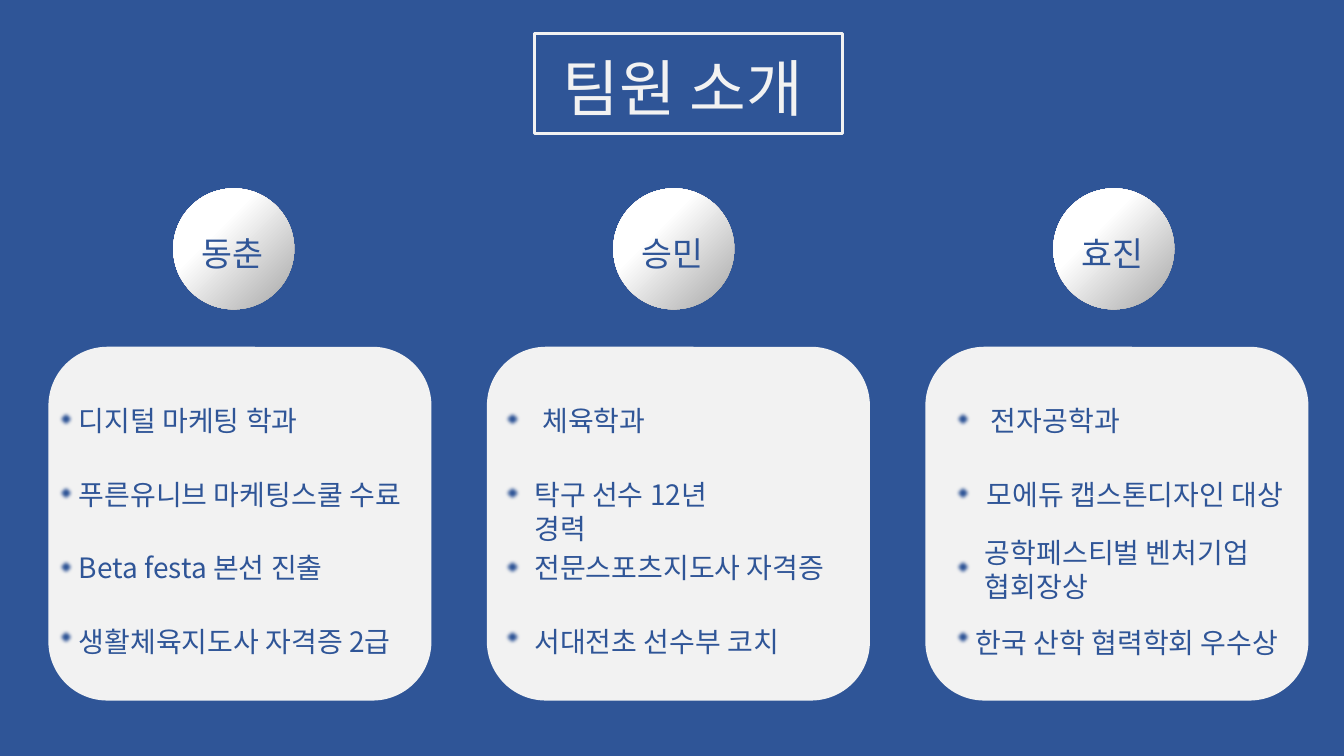
from pptx import Presentation
from pptx.dml.color import RGBColor
from pptx.enum.shapes import MSO_SHAPE as Kind
from pptx.enum.text import MSO_ANCHOR as Anchor, MSO_AUTO_SIZE as Fit, PP_ALIGN as Align
from pptx.oxml import parse_xml
from pptx.oxml.ns import nsdecls, qn
from pptx.util import Pt

BLUE = RGBColor(0x2F, 0x55, 0x97)
PALE = RGBColor(0xF2, 0xF2, 0xF2)
FACE = "Noto Sans CJK KR"
LINE = 24.3
ROW = 52.6
DOTS = (45.4, 98.6, 151.2, 201.6)

GLOW = f"""<a:gradFill {nsdecls('a')} rotWithShape="1"><a:gsLst>
<a:gs pos="0"><a:srgbClr val="FFFFFF"/></a:gs>
<a:gs pos="35000"><a:srgbClr val="FFFFFF"/></a:gs>
<a:gs pos="100000"><a:srgbClr val="A5A5A5"/></a:gs></a:gsLst>
<a:path path="circle"><a:fillToRect r="100000" b="100000"/></a:path></a:gradFill>"""
SOFT = f'<a:softEdge {nsdecls("a")} rad="31750"/>'

TEAM = [
    ("동춘", 6.5, 21.6, [
        ("디지털 마케팅 학과", 0, 0),
        ("푸른유니브 마케팅스쿨 수료", 0, 0),
        ("Beta festa 본선 진출", 0, 0),
        ("생활체육지도사 자격증 2급", 0, 0)]),
    ("승민", 12.2, 33.8, [
        ("체육학과", 5.8, 0),
        ("탁구 선수 12년\v경력", 0, 0),
        ("전문스포츠지도사 자격증", 0, 0),
        ("서대전초 선수부 코치", 0, 0)]),
    ("효진", 20.9, 36, [
        ("전자공학과", 10.8, 0),
        ("모에듀 캡스톤디자인 대상", 7.9, 0),
        ("공학페스티벌 벤처기업\v협회장상", 6.5, -10.8),
        ("한국 산학 협력학회 우수상", 0, 0.7)]),
]


def place(item, x, y, w, h):
    item.left, item.top, item.width, item.height = Pt(x), Pt(y), Pt(w), Pt(h)
    frame = item.text_frame
    frame.word_wrap = True
    frame.auto_size = Fit.NONE
    frame.vertical_anchor = Anchor.TOP
    frame.margin_left = frame.margin_right = 0
    frame.margin_top = frame.margin_bottom = 0
    return frame


def write(para, text, size=20, color=BLUE, indent=0, before=0, line=None):
    para.text = text
    props = para._p.get_or_add_pPr()
    props.set("marL", str(Pt(indent)))
    props.set("indent", "0")
    props.append(parse_xml(f"<a:buNone {nsdecls('a')}/>"))
    para.alignment = Align.LEFT
    para.space_before = Pt(before)
    if line:
        para.line_spacing = Pt(line)
    for run in para.runs:
        run.font.name = FACE
        run.font.size = Pt(size)
        run.font.bold = False
        run.font.color.rgb = color
        face = parse_xml(f'<a:ea {nsdecls("a")} typeface="{FACE}"/>')
        run._r.rPr.find(qn("a:latin")).addnext(face)


def draw(slide, kind, x, y, w, h, fill=None):
    shape = slide.shapes.add_shape(kind, Pt(x), Pt(y), Pt(w), Pt(h))
    shape.shadow.inherit = False
    shape.line.fill.background()
    if fill is None:
        shape.fill.background()
    else:
        shape.fill.solid()
        shape.fill.fore_color.rgb = fill
    return shape


def head(slide, x, y, w, h):
    frame = draw(slide, Kind.RECTANGLE, x, y, w, h)
    frame.line.color.rgb = PALE
    frame.line.width = Pt(2)
    title = slide.shapes.title
    slide.shapes._spTree.append(title._element)
    text = place(title, x + 20.2, y + 12.2, w - 28, h - 16)
    write(text.paragraphs[0], "팀원 소개", size=44, color=PALE)


def badge(slide, name, x, y, size):
    ball = draw(slide, Kind.OVAL, x, y, size, size)
    props = ball._element.spPr
    props.replace(props.find(qn("a:noFill")), parse_xml(GLOW))
    label = slide.shapes.add_textbox(0, 0, 0, 0)
    text = place(label, x + 20.2, y + 31.6, size - 24, 29)
    write(text.paragraphs[0], name, size=24)


def card(slide, body, dot, inset, items, x, y, w, h):
    draw(slide, Kind.ROUNDED_RECTANGLE, x, y, w, h, PALE)
    for drop in DOTS:
        mark = draw(slide, Kind.OVAL, x + dot, y + drop, 12.2, 12.2, BLUE)
        mark._element.spPr.find(qn("a:effectLst")).append(parse_xml(SOFT))
    slide.shapes._spTree.append(body._element)
    text = place(body, x + inset, y + 40.3, w - inset, h - 50)
    end = 0
    for row, (words, indent, shift) in enumerate(items):
        para = text.add_paragraph() if row else text.paragraphs[0]
        top = row * ROW + shift
        write(para, words, indent=indent, before=round(top - end, 2), line=LINE)
        end = top + LINE * (1 + words.count("\v"))


def main():
    deck = Presentation()
    deck.slide_width, deck.slide_height = Pt(960), Pt(540)
    slide = deck.slides.add_slide(deck.slide_layouts[4])
    slide.background.fill.solid()
    slide.background.fill.fore_color.rgb = BLUE
    bodies = list(slide.placeholders)[1:]
    spare = bodies.pop()._element
    spare.getparent().remove(spare)
    head(slide, 381.6, 23.8, 220.3, 71.3)
    for col, (name, dot, inset, items) in enumerate(TEAM):
        badge(slide, name, 123.8 + col * 314.3, 134.6, 86.4)
        card(slide, bodies[col], dot, inset, items,
             34.6 + col * 313.2, 247.7, 273.6, 252.7)
    deck.save("out.pptx")


if __name__ == "__main__":
    main()
